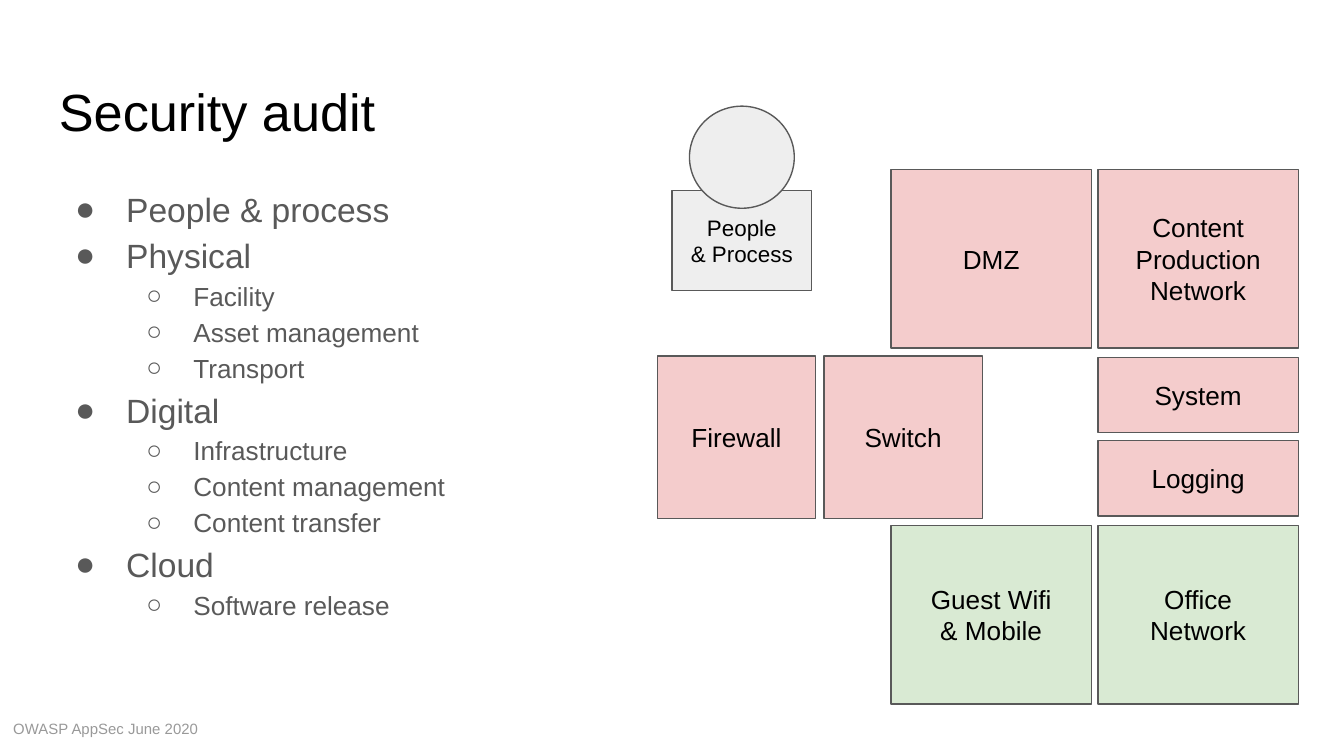
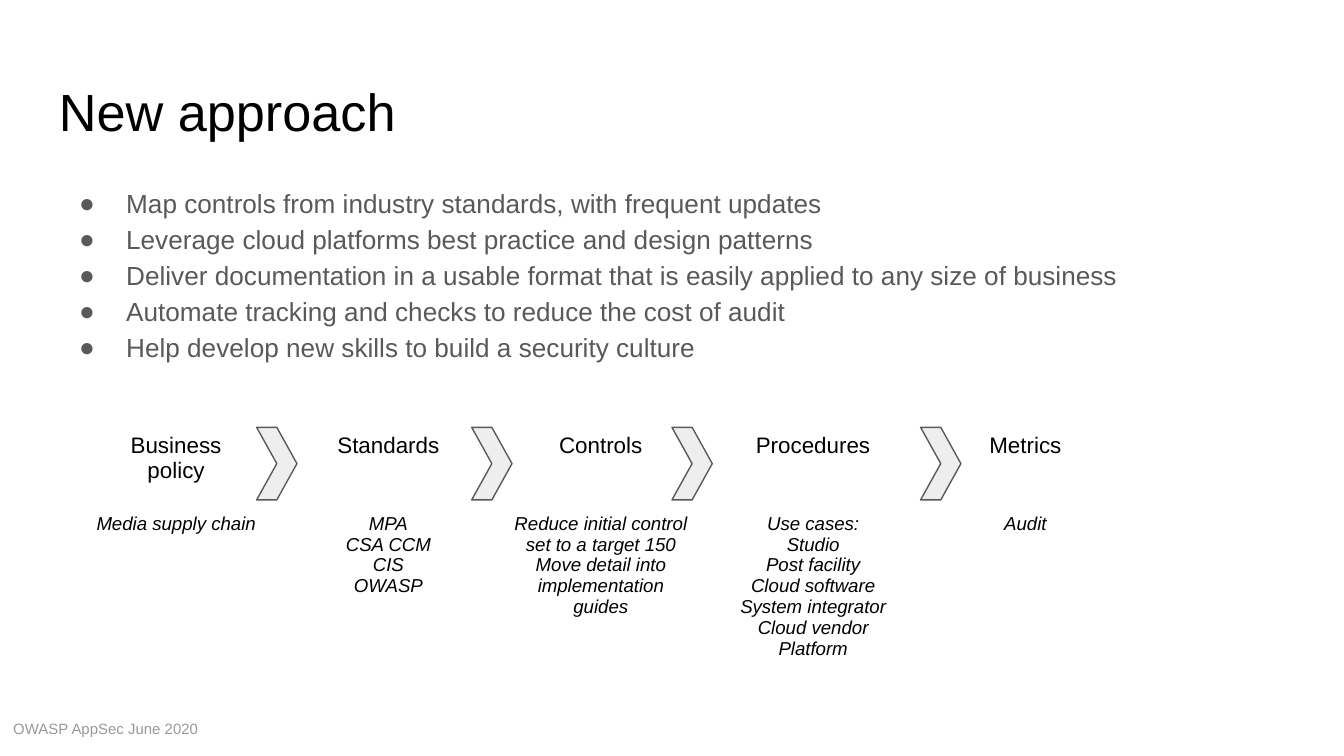
from lxml.etree import SubElement
from pptx import Presentation
from pptx.dml.color import RGBColor
from pptx.enum.shapes import MSO_SHAPE as Shape
from pptx.enum.text import MSO_ANCHOR as Anchor, PP_ALIGN as Align
from pptx.oxml.ns import qn
from pptx.util import Emu, Pt

PX = 9144  # 100 px to the inch
BLACK, BODY, FOOTER = "000000", "595959", "999999"
GREY, PINK, GREEN = "EEEEEE", "F4CCCC", "D9EAD3"


def px(length):
    return Emu(length * PX)


def color(hex_code):
    return RGBColor.from_string(hex_code)


class Slides:
    """Holds the deck, its style and the current page."""

    font = "Arial"
    inset = 10
    line_width = 0.75

    def __init__(self):
        self.deck = Presentation()
        self.deck.slide_width, self.deck.slide_height = px(1000), Emu(5143500)
        self.page = None

    def new_page(self, title):
        self.page = self.deck.slides.add_slide(self.deck.slide_layouts[6])
        self.text("OWASP AppSec June 2020", (0, 529, 438, 38), 8, FOOTER)
        self.text(title, (34, 49, 932, 63), 28)

    def style(self, paragraph, size, ink=BLACK, align=Align.LEFT, italic=False):
        paragraph.alignment = align
        font = paragraph.font
        font.name, font.size, font.italic = self.font, Pt(size), italic
        font.color.rgb = color(ink)

    def set_insets(self, holder):
        holder.margin_left = holder.margin_right = px(self.inset)
        holder.margin_top = holder.margin_bottom = px(self.inset)

    def add_lines(self, frame, text, size, **look):
        """One paragraph for each line of text."""
        for index, line in enumerate(text.split("\n")):
            para = frame.add_paragraph() if index else frame.paragraphs[0]
            para.text = line
            self.style(para, size, **look)

    def text_frame(self, area):
        box = self.page.shapes.add_textbox(*map(px, area))
        box.text_frame.word_wrap = True
        self.set_insets(box.text_frame)
        return box.text_frame

    def text(self, text, area, size, ink=BLACK):
        self.add_lines(self.text_frame(area), text, size, ink=ink)

    def bullets(self, items, sizes):
        """Items are (level, text); sizes gives the text size of each level."""
        frame = self.text_frame((34, 126, 932, 374))
        for index, (level, text) in enumerate(items):
            para = frame.add_paragraph() if index else frame.paragraphs[0]
            para.text, para.level, para.line_spacing = text, level, 1.15
            size = sizes[level]
            props = para._p.get_or_add_pPr()
            props.set("marL", str(px(50 * (level + 1))))
            props.set("indent", str(-px(38 if size == 18 else 35)))
            tint = SubElement(props, qn("a:buClr"))
            SubElement(tint, qn("a:srgbClr"), val=BODY)
            SubElement(props, qn("a:buFont"), typeface=self.font)
            SubElement(props, qn("a:buChar"), char="●○"[level])
            self.style(para, size, BODY)

    def group(self):
        return self.page.shapes.add_group_shape().shapes

    def shape(self, kind, area, fill, text="", size=14, parent=None):
        shapes = self.page.shapes if parent is None else parent
        shape = shapes.add_shape(kind, *map(px, area))
        shape.shadow.inherit = False
        shape.fill.solid()
        shape.fill.fore_color.rgb = color(fill)
        shape.line.color.rgb = color(BODY)
        shape.line.width = Pt(self.line_width)
        if text:
            frame = shape.text_frame
            frame.word_wrap, frame.vertical_anchor = True, Anchor.MIDDLE
            self.set_insets(frame)
            self.add_lines(frame, text, size, align=Align.CENTER)

    def table(self, rows, left, top, column_width, row_height, looks):
        """Looks gives (size, italic) for each row."""
        columns = len(rows[0])
        table = self.page.shapes.add_table(
            len(rows), columns, px(left), px(top),
            px(column_width * columns), px(row_height * len(rows))).table
        table.first_row = table.horz_banding = False
        for row, texts, (size, italic) in zip(table.rows, rows, looks):
            row.height = px(row_height)
            for cell, text in zip(row.cells, texts):
                cell.fill.background()
                self.set_insets(cell)
                self.add_lines(cell.text_frame, text, size,
                               align=Align.CENTER, italic=italic)


def security_audit(slides):
    slides.new_page("Security audit")
    slides.bullets([
        (0, "People & process"),
        (0, "Physical"),
        (1, "Facility"),
        (1, "Asset management"),
        (1, "Transport"),
        (0, "Digital"),
        (1, "Infrastructure"),
        (1, "Content management"),
        (1, "Content transfer"),
        (0, "Cloud"),
        (1, "Software release"),
    ], (18, 14))

    # Office networks
    middle, right = 663, 817
    width, height = 149, 133
    office = slides.group()
    for left, text in ((right, "Office\nNetwork"),
                       (middle, "Guest Wifi\n& Mobile")):
        slides.shape(Shape.RECTANGLE, (left, 391, width, height), GREEN, text,
                     parent=office)

    # Person
    slides.shape(Shape.RECTANGLE, (500, 142, 104, 74), GREY,
                 "People\n& Process", 12)
    slides.shape(Shape.OVAL, (513, 79, 78, 76), GREY)

    # Production networks
    production = slides.group()
    for area, text in (
            ((middle, 126, width, height), "DMZ"),
            ((right, 126, width, height), "Content\nProduction\nNetwork"),
            ((right, 266, width, 56), "System"),
            ((right, 328, width, 56), "Logging"),
            ((613, 265, 118, 121), "Switch"),
            ((489, 265, 118, 121), "Firewall")):
        slides.shape(Shape.RECTANGLE, area, PINK, text, parent=production)


def new_approach(slides):
    slides.new_page("New approach")
    slides.bullets([(0, text) for text in (
        "Map controls from industry standards, with frequent updates",
        "Leverage cloud platforms best practice and design patterns",
        "Deliver documentation in a usable format that is easily applied"
        " to any size of business",
        "Automate tracking and checks to reduce the cost of audit",
        "Help develop new skills to build a security culture",
    )], (14,))

    # Process steps and their details
    steps = (
        ("Business\npolicy", "Media supply chain"),
        ("Standards", "MPA\nCSA CCM\nCIS\nOWASP"),
        ("Controls", "Reduce initial control set to a target 150\n"
                     "Move detail into implementation guides"),
        ("Procedures", "Use cases:\nStudio\nPost facility\nCloud software\n"
                       "System integrator\nCloud vendor\nPlatform"),
        ("Metrics", "Audit"),
    )
    slides.table(list(zip(*steps)), 52, 312, 158, 42,
                 ((12, False), (10, True)))

    # Arrows between the steps
    for left in (191, 351, 500, 685):
        slides.shape(Shape.CHEVRON, (left, 318, 30, 54), GREY)


def main():
    slides = Slides()
    security_audit(slides)
    new_approach(slides)
    slides.deck.save("out.pptx")


if __name__ == "__main__":
    main()
